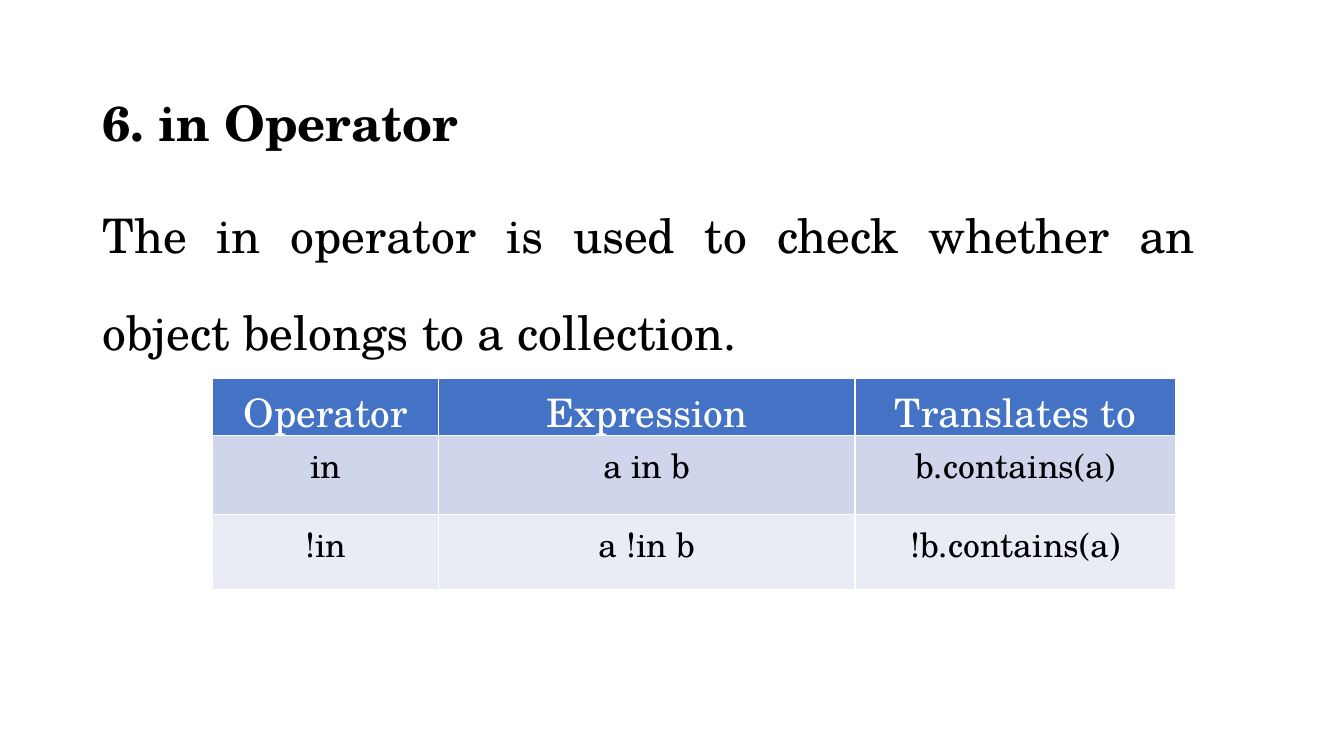
from pptx import Presentation
from pptx.dml.color import RGBColor as RGB
from pptx.enum.text import PP_ALIGN as Align
from pptx.util import Inches, Pt

FONT = "TeX Gyre Schola"
HEX = {"black": "000000", "white": "FFFFFF", "head": "4472C4",
       "odd": "CFD5EA", "even": "E9EBF5"}


def style(para, size, color, bold=False):
    font = para.font
    font.name, font.size, font.bold = FONT, Pt(size), bold
    font.color.rgb = RGB.from_string(HEX[color])


deck = Presentation()
deck.slide_width, deck.slide_height = Inches(13.33), Inches(7.5)
slide = deck.slides.add_slide(deck.slide_layouts[6])

body = slide.shapes.add_textbox(Inches(0.92), Inches(0.93), Inches(11.04), Inches(6.22))
frame = body.text_frame
frame.word_wrap = True
title = frame.paragraphs[0]
title.text = "6. in Operator"
title.line_spacing = 0.9
style(title, 35, "black", True)
intro = frame.add_paragraph()
intro.text = "The in operator is used to check whether an object belongs to a collection."
intro.alignment = Align.JUSTIFY
intro.line_spacing = 1.7
style(intro, 34, "black")
for para in frame.paragraphs:
    para.space_before = Pt(10)

rows = [
    (0.49, "head", "white", 28, ("Operator", "Expression", "Translates to")),
    (0.79, "odd", "black", 24, ("in", "a in b", "b.contains(a)")),
    (0.74, "even", "black", 24, ("!in", "a !in b", "!b.contains(a)")),
]
table = slide.shapes.add_table(
    len(rows), 3, Inches(2.11), Inches(3.75), Inches(9.55), Inches(2.02)).table
for col, width in zip(table.columns, (2.24, 4.13, 3.18)):
    col.width = Inches(width)
for row, (height, fill, color, size, words) in zip(table.rows, rows):
    row.height = Inches(height)
    for cell, word in zip(row.cells, words):
        cell.text = word
        cell.fill.solid()
        cell.fill.fore_color.rgb = RGB.from_string(HEX[fill])
        para = cell.text_frame.paragraphs[0]
        para.alignment = Align.CENTER
        style(para, size, color)

deck.save("out.pptx")
